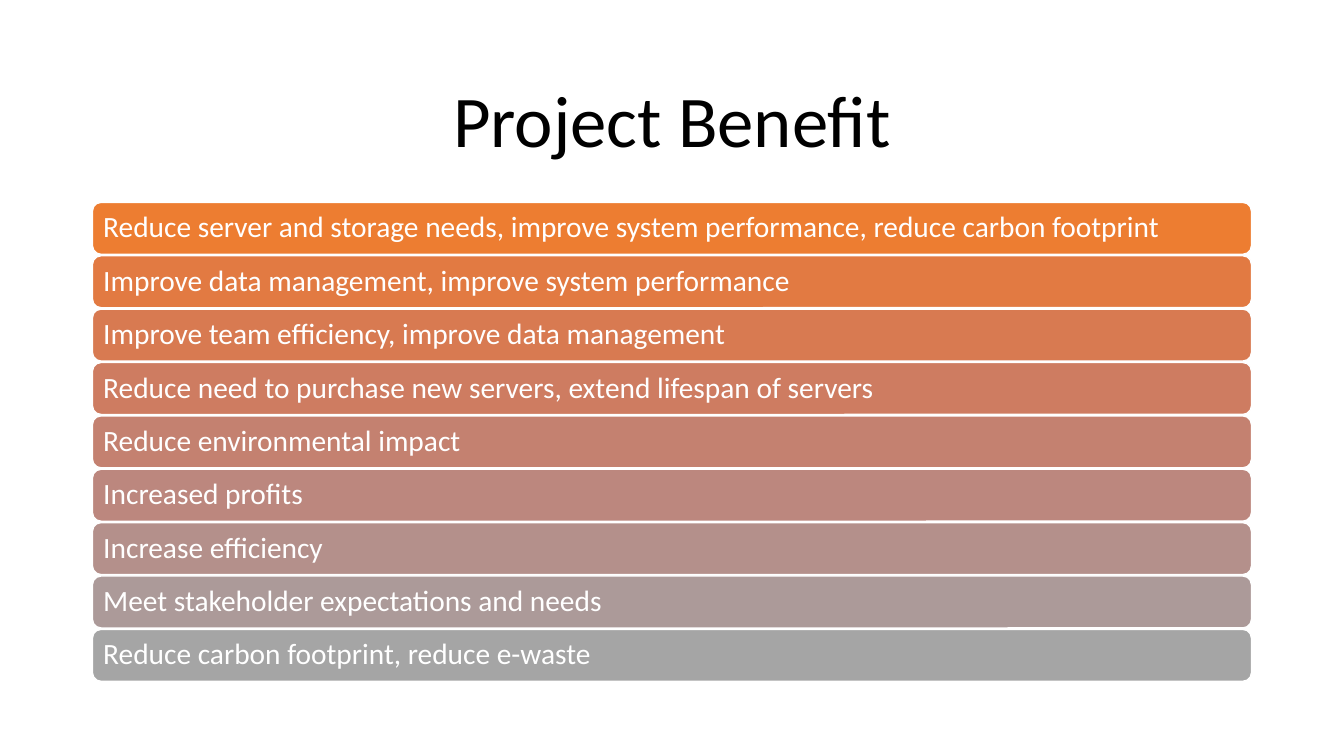
import colorsys
from dataclasses import dataclass

import pptx
import pptx.dml.color
import pptx.enum.shapes
import pptx.enum.text
import pptx.util

Cm = pptx.util.Cm
Pt = pptx.util.Pt
Align = pptx.enum.text.PP_ALIGN
Anchor = pptx.enum.text.MSO_ANCHOR


@dataclass(frozen=True)
class Theme:
    font: str = "Calibri"
    head: int = 52
    body: int = 21
    black: str = "000000"
    white: str = "FFFFFF"
    first: str = "ED7D31"
    last: str = "A5A5A5"


THEME = Theme()
TITLE = "Project Benefit"
GAINS = [
    "Reduce server and storage needs, improve system performance, reduce carbon footprint",
    "Improve data management, improve system performance",
    "Improve team efficiency, improve data management",
    "Reduce need to purchase new servers, extend lifespan of servers",
    "Reduce environmental impact",
    "Increased profits",
    "Increase efficiency",
    "Meet stakeholder expectations and needs",
    "Reduce carbon footprint, reduce e-waste",
]

# Layout in centimetres
LEFT, WIDTH = 2.33, 29.21
TOP, END, HEIGHT = 5.1, 15.86, 1.31
PAD = 0.21


def rgb(code):
    return pptx.dml.color.RGBColor.from_string(code)


def apply(item, values):
    for name, value in values.items():
        setattr(item, name, value)


def blend(part):
    """Fade hue, saturation and lightness from the first to the last bar."""
    first, last = (
        colorsys.rgb_to_hls(*(v / 255 for v in rgb(code)))
        for code in (THEME.first, THEME.last)
    )
    tone = (a + (b - a) * part for a, b in zip(first, last))
    return pptx.dml.color.RGBColor(
        *(round(v * 255) for v in colorsys.hls_to_rgb(*tone))
    )


def write(shape, text, size, color, align):
    frame = shape.text_frame
    apply(frame, {"word_wrap": True, "vertical_anchor": Anchor.MIDDLE})
    para = frame.paragraphs[0]
    para.text = text
    apply(para, {"alignment": align, "line_spacing": 0.9})
    font = para.runs[0].font
    apply(font, {"name": THEME.font, "size": Pt(size)})
    font.color.rgb = rgb(color)


def add_title(slide):
    box = slide.shapes.add_textbox(Cm(LEFT), Cm(1.55), Cm(WIDTH), Cm(3.15))
    write(box, TITLE, THEME.head, THEME.black, Align.CENTER)


def add_bar(slide, top, text, fill):
    bar = slide.shapes.add_shape(
        pptx.enum.shapes.MSO_SHAPE.ROUNDED_RECTANGLE,
        Cm(LEFT), Cm(top), Cm(WIDTH), Cm(HEIGHT),
    )
    bar.shadow.inherit = False
    bar.fill.solid()
    bar.fill.fore_color.rgb = fill
    bar.line.color.rgb = rgb(THEME.white)
    bar.line.width = Pt(1)
    sides = ("left", "top", "right", "bottom")
    apply(bar.text_frame, {f"margin_{side}": Cm(PAD) for side in sides})
    write(bar, text, THEME.body, THEME.white, Align.LEFT)


def main():
    deck = pptx.Presentation()
    apply(deck, {"slide_width": Cm(33.87), "slide_height": Cm(19.05)})
    slide = deck.slides.add_slide(deck.slide_layouts[6])

    # Heading
    add_title(slide)

    # Benefit bars, evenly spaced and fading from orange to grey
    for i, text in enumerate(GAINS):
        part = i / (len(GAINS) - 1)
        add_bar(slide, TOP + (END - TOP) * part, text, blend(part))

    deck.save("out.pptx")


if __name__ == "__main__":
    main()
